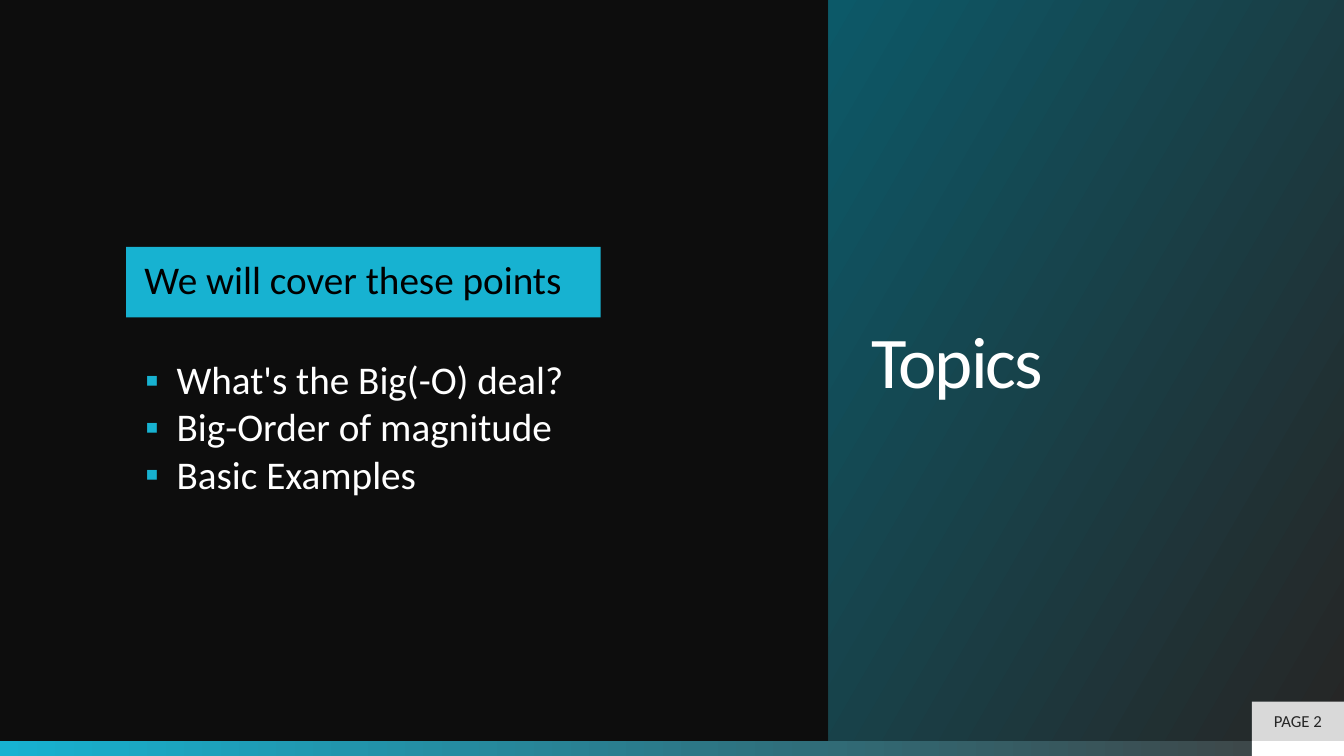
from lxml import etree
from pptx import Presentation
from pptx import util as u
from pptx.dml.color import RGBColor
from pptx.enum import shapes, text
from pptx.oxml.ns import qn

COLOURS = {
    "night": "0D0D0D",
    "cyan": "17B2D1",
    "teal": "0C5968",
    "charcoal": "262626",
    "grey": "404040",
    "silver": "D9D9D9",
    "white": "FFFFFF",
    "black": "000000",
}
FONT = "Calibri"
WIDTH, HEIGHT = 33.87, 19.05
FOOTER_TOP = 18.67
PANEL_LEFT = 20.88
PAGE_LEFT, PAGE_TOP = 31.55, 17.68
TOPICS = ["What's the Big(-O) deal?", "Big-Order of magnitude", "Basic Examples"]


def colour(name):
    return RGBColor.from_string(COLOURS[name])


def fill_solid(fill, name):
    fill.solid()
    fill.fore_color.rgb = colour(name)


def fill_gradient(fill, stops, angle):
    fill.gradient()
    fill.gradient_angle = angle
    for stop, (position, name) in zip(fill.gradient_stops, stops):
        stop.position = position
        stop.color.rgb = colour(name)


def place(part, left, top, width, height):
    part.left, part.top = u.Cm(left), u.Cm(top)
    part.width, part.height = u.Cm(width), u.Cm(height)


def add_block(slide, left, top, width, height):
    block = slide.shapes.add_shape(
        shapes.MSO_SHAPE.RECTANGLE, u.Cm(left), u.Cm(top), u.Cm(width), u.Cm(height))
    block.shadow.inherit = False
    block.line.fill.background()
    return block


def write(part, wording, size, name, insets, anchor=text.MSO_ANCHOR.MIDDLE,
          align=text.PP_ALIGN.LEFT, spacing=1.0, after=0):
    frame = part.text_frame
    frame.text = wording
    frame.word_wrap = True
    frame.auto_size = text.MSO_AUTO_SIZE.NONE
    frame.vertical_anchor = anchor
    frame.margin_left, frame.margin_top, frame.margin_right, frame.margin_bottom = map(u.Cm, insets)
    for paragraph in frame.paragraphs:
        paragraph.alignment = align
        paragraph.line_spacing = spacing
        paragraph.space_before = u.Pt(0)
        paragraph.space_after = u.Pt(after)
        for run in paragraph.runs:
            run.font.name = FONT
            run.font.size = u.Pt(size)
            run.font.color.rgb = colour(name)


def add_bullet(paragraph, indent, name):
    properties = paragraph._p.get_or_add_pPr()
    properties.set("marL", str(u.Cm(indent)))
    properties.set("indent", str(-u.Cm(indent)))
    bullet_colour = etree.SubElement(properties, qn("a:buClr"))
    etree.SubElement(bullet_colour, qn("a:srgbClr"), val=COLOURS[name])
    etree.SubElement(properties, qn("a:buChar"), char="▪")


def add_footer(slide):
    strip = add_block(slide, 0, FOOTER_TOP, WIDTH, HEIGHT - FOOTER_TOP)
    fill_gradient(strip.fill, [(0, "cyan"), (1, "grey")], 0)
    corner = add_block(slide, PAGE_LEFT, FOOTER_TOP, WIDTH - PAGE_LEFT, HEIGHT - FOOTER_TOP)
    fill_solid(corner.fill, "white")
    page = add_block(slide, PAGE_LEFT, PAGE_TOP, WIDTH - PAGE_LEFT, FOOTER_TOP - PAGE_TOP)
    fill_solid(page.fill, "silver")
    write(page, "PAGE 2", 12, "charcoal", (0.25, 0.13, 0.25, 0.13), align=text.PP_ALIGN.CENTER)


def fill_title(title):
    place(title, PANEL_LEFT, 0, WIDTH - PANEL_LEFT, FOOTER_TOP)
    fill_gradient(title.fill, [(0.01, "charcoal"), (1, "teal")], 150)
    write(title, "Topics", 52, "white", (1.09, 0.13, 1.09, 0.13), spacing=0.7)
    for run in title.text_frame.paragraphs[0].runs:
        run._r.get_or_add_rPr().set("spc", "-150")


def fill_topics(body):
    place(body, 2.34, 5.33, 17.09, 7.95)
    write(body, "\n".join(TOPICS), 28, "white", (1.32, 3.76, 1.32, 0.56),
          anchor=text.MSO_ANCHOR.TOP, spacing=0.9, after=3.5)
    for paragraph in body.text_frame.paragraphs:
        add_bullet(paragraph, 0.79, "cyan")


def add_heading(slide):
    heading = add_block(slide, 3.18, 6.22, 11.96, 1.78)
    fill_solid(heading.fill, "cyan")
    write(heading, "We will cover these points", 28, "black", (0.46, 0, 0.46, 0), spacing=0.9)


def main():
    deck = Presentation()
    deck.slide_width, deck.slide_height = u.Cm(WIDTH), u.Cm(HEIGHT)
    slide = deck.slides.add_slide(deck.slide_layouts[1])
    fill_solid(slide.background.fill, "night")
    fill_title(slide.shapes.title)
    fill_topics(slide.placeholders[1])
    add_footer(slide)
    add_heading(slide)
    deck.save("out.pptx")


if __name__ == "__main__":
    main()
